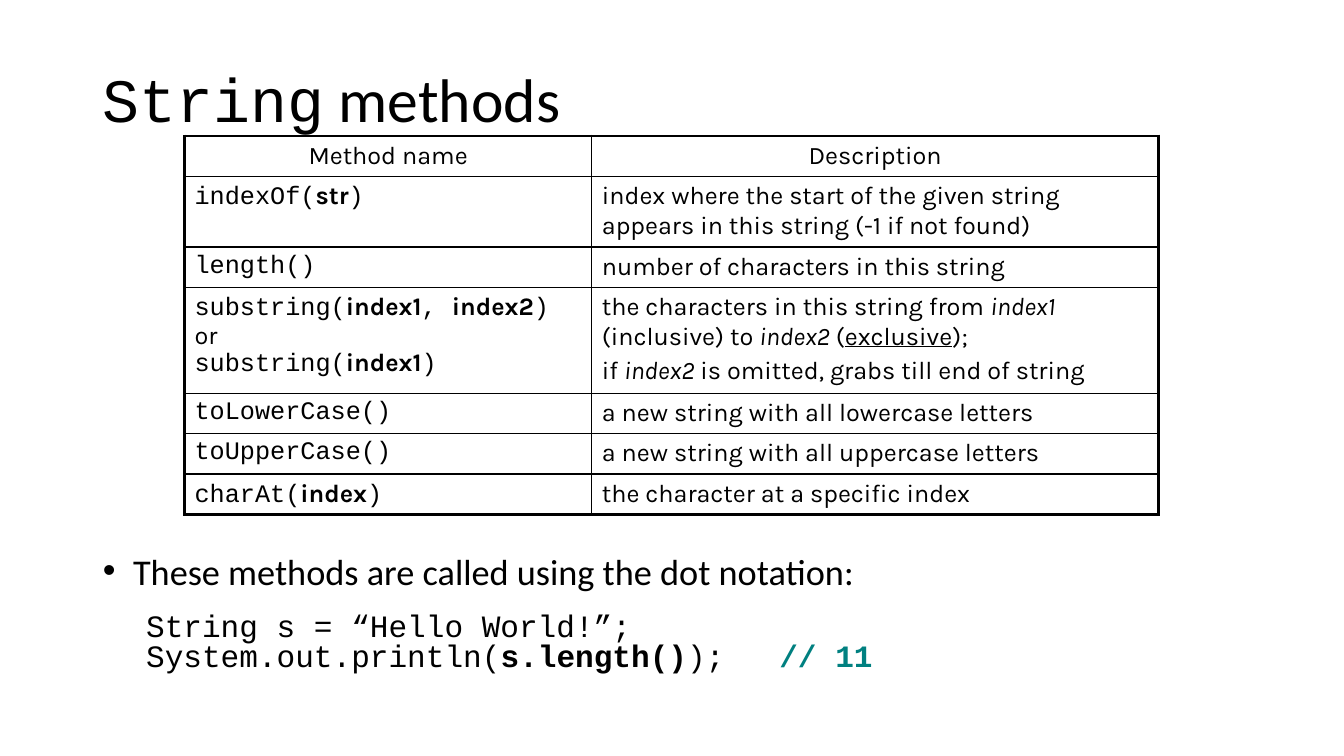
from dataclasses import dataclass

from lxml import etree
from pptx import Presentation
from pptx import util as u
from pptx.dml.color import RGBColor
from pptx.enum import text
from pptx.oxml import ns


@dataclass(frozen=True)
class Theme:
    ink: str = "000000"
    comment: str = "008080"
    heading: str = "Calibri"
    mono: str = "Courier New"
    body: str = "Karla"
    title_size: float = 44
    bullet_size: float = 25.9
    code_size: float = 22.2
    cell_size: float = 18
    outer_line: float = 2.25
    inner_line: float = 1


class SlideBuilder:
    def __init__(self, slide, theme):
        self.slide, self.theme = slide, theme

    def fill_paragraph(self, paragraph, pieces, size, spacing=1.0, before=0):
        """Each piece is (text, font) or (text, font, look), look holding b, i, u or c."""
        paragraph.line_spacing = spacing
        paragraph.space_before = u.Pt(before)
        for words, font, *look in pieces:
            run = paragraph.add_run()
            run.text = words
            flags = "".join(look)
            run.font.name, run.font.size = font, u.Pt(size)
            run.font.bold = "b" in flags
            run.font.italic = "i" in flags
            run.font.underline = "u" in flags
            colour = self.theme.comment if "c" in flags else self.theme.ink
            run.font.color.rgb = RGBColor.from_string(colour)

    def text_box(self, left, top, width, height, lines, size, spacing,
                 before=0, anchor=text.MSO_ANCHOR.TOP):
        box = self.slide.shapes.add_textbox(*map(u.Inches, (left, top, width, height)))
        frame = box.text_frame
        frame.word_wrap = True
        frame.vertical_anchor = anchor
        frame.margin_left = frame.margin_right = frame.margin_top = frame.margin_bottom = 0
        for n, pieces in enumerate(lines):
            paragraph = frame.add_paragraph() if n else frame.paragraphs[0]
            self.fill_paragraph(paragraph, pieces, size, spacing, before if n else 0)
        return frame.paragraphs

    def bullet(self, paragraph, indent):
        props = paragraph._p.get_or_add_pPr()
        props.set("marL", str(u.Inches(indent)))
        props.set("indent", str(-u.Inches(indent)))
        etree.SubElement(props, ns.qn("a:buFont"), typeface="Arial")
        etree.SubElement(props, ns.qn("a:buChar"), char="•")

    def tab_stop(self, paragraph, position):
        stops = etree.SubElement(paragraph._p.get_or_add_pPr(), ns.qn("a:tabLst"))
        etree.SubElement(stops, ns.qn("a:tab"), pos=str(u.Inches(position)), algn="l")

    def borders(self, cell, outer):
        props = cell._tc.get_or_add_tcPr()
        for side in "LRTB":
            points = self.theme.outer_line if side in outer else self.theme.inner_line
            line = etree.SubElement(props, ns.qn("a:ln" + side), w=str(u.Pt(points)))
            fill = etree.SubElement(line, ns.qn("a:solidFill"))
            etree.SubElement(fill, ns.qn("a:srgbClr"), val=self.theme.ink)

    def table(self, left, top, widths, heights, rows):
        frame = self.slide.shapes.add_table(
            len(rows), len(widths),
            *map(u.Inches, (left, top, sum(widths), sum(heights))))
        grid = frame.table
        grid.first_row = grid.horz_banding = False
        for column, width in zip(grid.columns, widths):
            column.width = u.Inches(width)
        for r, (height, row) in enumerate(zip(heights, rows)):
            grid.rows[r].height = u.Inches(height)
            for c, lines in enumerate(row):
                cell = grid.cell(r, c)
                edges = {"T": r == 0, "B": r == len(rows) - 1,
                         "L": c == 0, "R": c == len(widths) - 1}
                self.borders(cell, [side for side, is_outer in edges.items() if is_outer])
                cell.fill.background()
                for n, pieces in enumerate(lines):
                    paragraph = cell.text_frame.add_paragraph() if n else cell.text_frame.paragraphs[0]
                    # Follow-on lines of a method name are set tight
                    spacing = 0.7 if n and c == 0 else 1.0
                    self.fill_paragraph(paragraph, pieces, self.theme.cell_size, spacing,
                                        0.2 * self.theme.cell_size)
                    if r == 0:
                        paragraph.alignment = text.PP_ALIGN.CENTER


def main():
    deck = Presentation()
    deck.slide_width, deck.slide_height = u.Inches(13.33), u.Inches(7.5)
    theme = Theme()
    builder = SlideBuilder(deck.slides.add_slide(deck.slide_layouts[6]), theme)
    mono, body = theme.mono, theme.body

    def call(name, *arguments):
        pieces = [(name + "(", mono)]
        for n, argument in enumerate(arguments):
            if n:
                pieces.append((", ", mono))
            pieces.append((argument, body, "b"))
        return pieces + [(")", mono)]

    def plain(words):
        return [(words, body)]

    # Title
    builder.text_box(1.02, 0, 11.5, 1.35,
                     [[("String", mono), (" methods", theme.heading)]],
                     theme.title_size, 0.9, anchor=text.MSO_ANCHOR.BOTTOM)

    # Method table
    substring_names = [call("substring", "index1", "index2"), plain("or"),
                       call("substring", "index1")]
    substring_notes = [
        [("the characters in this string from ", body), ("index1", body, "i"),
         (" (inclusive) to ", body), ("index2", body, "i"), (" (", body),
         ("exclusive", body, "u"), (");", body)],
        [("if ", body), ("index2", body, "i"),
         (" is omitted, grabs till end of string", body)],
    ]
    methods = [
        ([plain("Method name")], [plain("Description")]),
        ([call("indexOf", "str")],
         [plain("index where the start of the given string appears in this string (-1 if not found)")]),
        ([call("length")], [plain("number of characters in this string")]),
        (substring_names, substring_notes),
        ([call("toLowerCase")], [plain("a new string with all lowercase letters")]),
        ([call("toUpperCase")], [plain("a new string with all uppercase letters")]),
        ([call("charAt", "index")], [plain("the character at a specific index")]),
    ]
    builder.table(1.83, 1.35, (4.04, 5.62), (0.4, 0.7, 0.4, 1.02, 0.4, 0.4, 0.4), methods)

    # Dot notation bullet
    notation = builder.text_box(
        1.02, 5.57, 11.3, 0.4,
        [[("These methods are called using the dot notation:", theme.heading)]],
        theme.bullet_size, 0.7)
    builder.bullet(notation[0], 0.3)

    # Code example
    example = builder.text_box(
        1.45, 6.15, 10.87, 0.6,
        [[("String s = “Hello World!”;", mono)],
         [("System.out.println(", mono), ("s.length()", mono, "b"),
          (");\t", mono), ("// 11", mono, "bc")]],
        theme.code_size, 0.6, before=5)
    builder.tab_stop(example[1], 6.28)

    deck.save("out.pptx")


if __name__ == "__main__":
    main()
